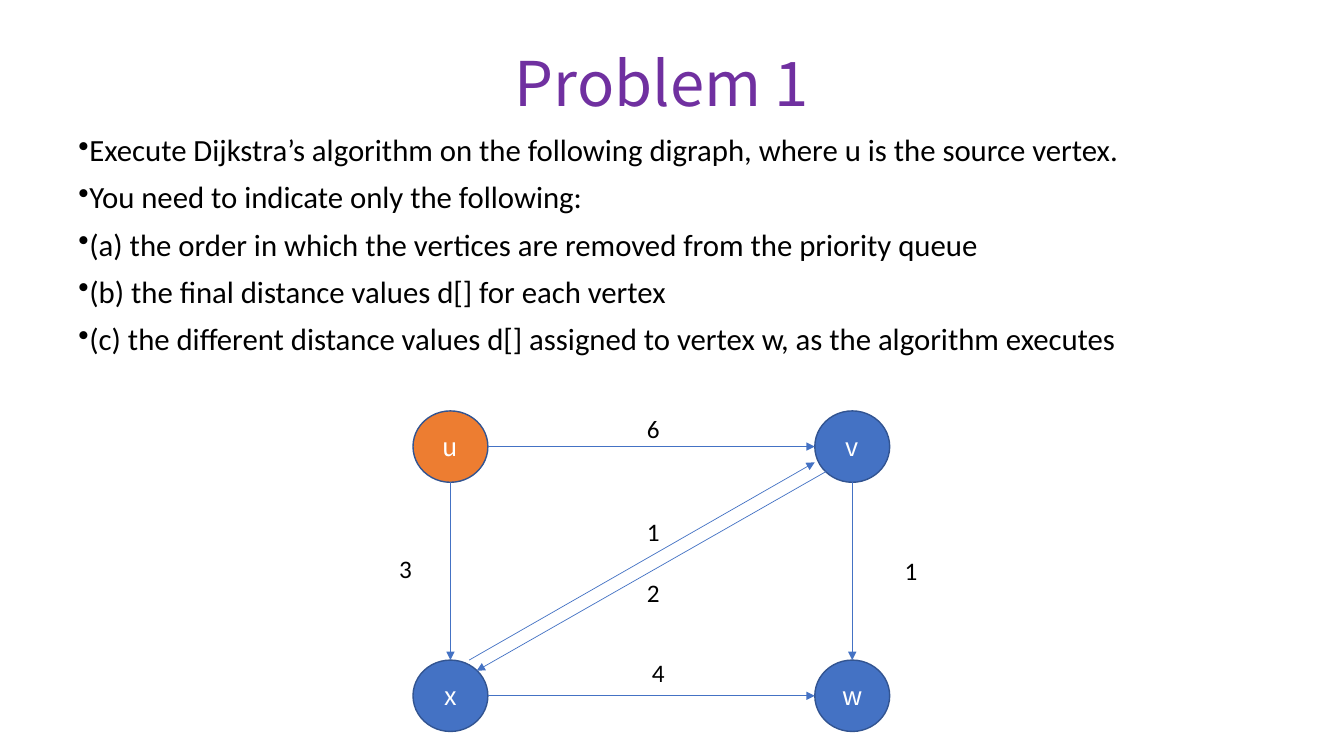
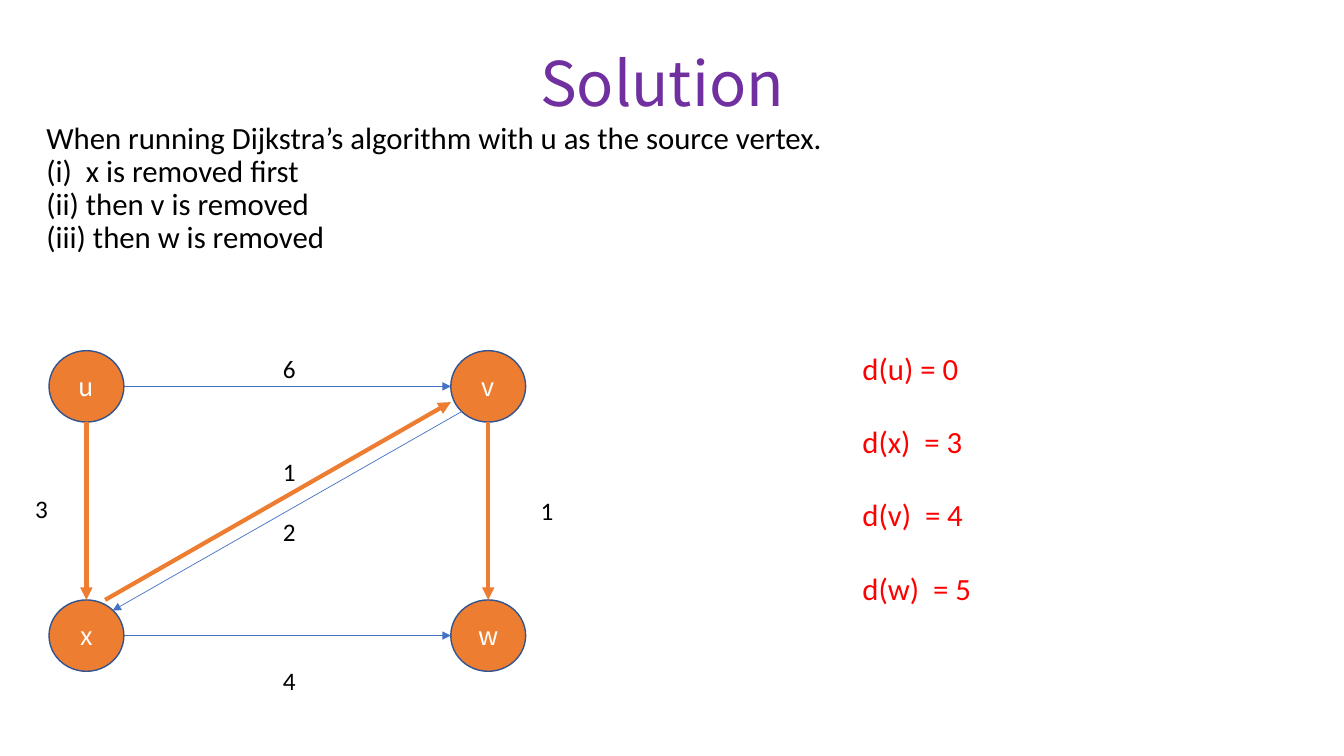
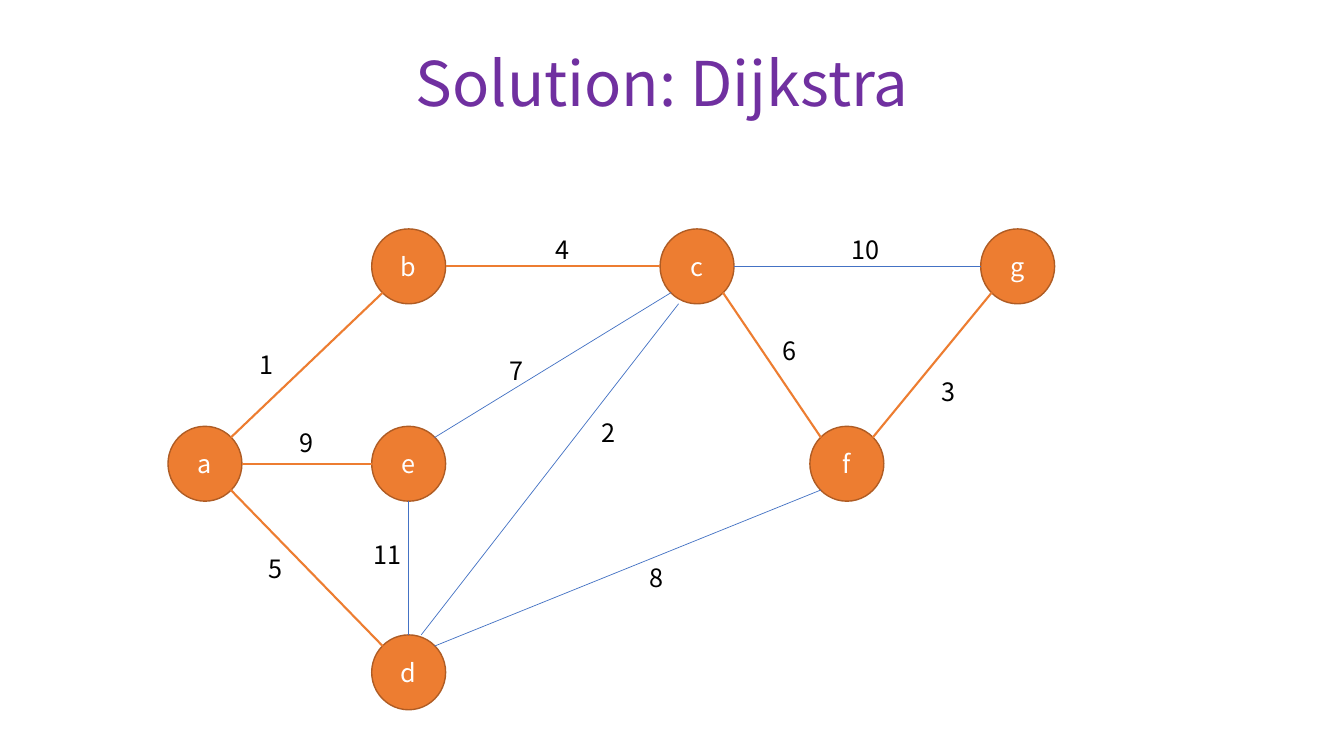
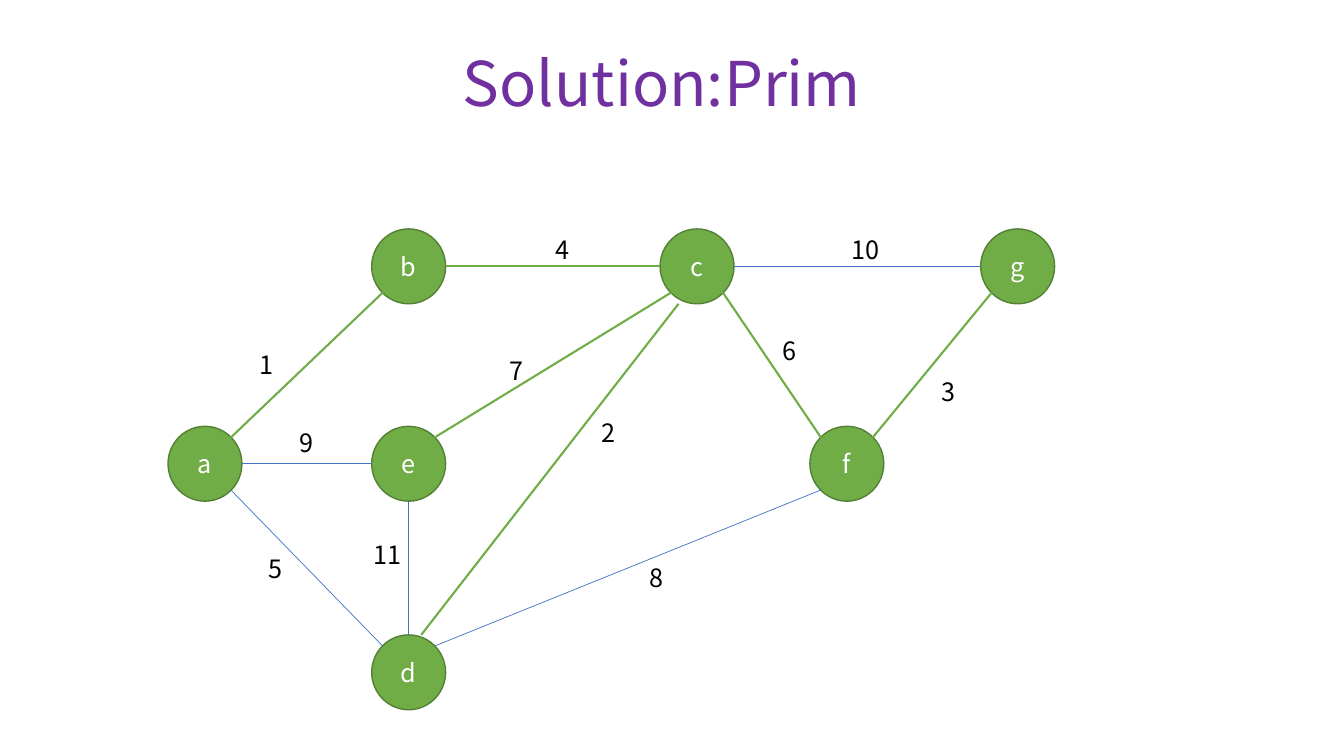
"""Build four slides on shortest paths and spanning trees."""
from dataclasses import dataclass, replace

import lxml.etree
import pptx
import pptx.dml.color
import pptx.enum.shapes
import pptx.enum.text
import pptx.oxml.ns
import pptx.presentation
import pptx.shapes.autoshape
import pptx.slide
import pptx.text.text
import pptx.util

Pt = pptx.util.Pt
RGBColor = pptx.dml.color.RGBColor
Align = pptx.enum.text.PP_ALIGN
qualify = pptx.oxml.ns.qn

PURPLE = RGBColor(0x70, 0x30, 0xA0)
BLACK = RGBColor(0, 0, 0)
WHITE = RGBColor(0xFF, 0xFF, 0xFF)
RED = RGBColor(0xFF, 0, 0)
BLUE = RGBColor(0x44, 0x72, 0xC4)
DARK_BLUE = RGBColor(0x32, 0x54, 0x91)
ORANGE = RGBColor(0xED, 0x7D, 0x31)
DARK_ORANGE = RGBColor(0xAF, 0x5C, 0x24)
GREEN = RGBColor(0x70, 0xAD, 0x47)
DARK_GREEN = RGBColor(0x53, 0x80, 0x35)

BODY_FONT = "Calibri"
HEAD_FONT = "Noto Sans CJK SC"
THIN_LINE = 0.5
LABEL_HEIGHT = 28.8

Point = tuple[float, float]
Area = tuple[float, float, float, float]

TOP, BOTTOM, LEFT, RIGHT = (0.5, 0), (0.5, 1), (0, 0.5), (1, 0.5)
TOP_LEFT, TOP_RIGHT = (0.15, 0.15), (0.85, 0.15)
BOTTOM_LEFT, BOTTOM_RIGHT = (0.15, 0.85), (0.85, 0.85)


@dataclass(frozen=True)
class TextStyle:
    """Font, size, colour and spacing of a text box."""

    font: str
    size: float
    color: RGBColor
    align: Align = Align.LEFT
    line_spacing: float = 1
    space_before: float = 0


@dataclass(frozen=True)
class Edge:
    """Line between two nodes, anchored at fractions of their boxes."""

    ends: str
    start: Point
    finish: Point


@dataclass(frozen=True)
class Weight:
    """Number beside an edge."""

    text: str
    left: float
    top: float


@dataclass(frozen=True)
class Graph:
    """Nodes, edges and weights, measured from the graph's own origin."""

    nodes: dict[str, Point]
    node_size: Point
    edges: tuple[Edge, ...]
    weights: tuple[Weight, ...]
    font: str
    directed: bool


@dataclass(frozen=True)
class GraphStyle:
    """Colours of a graph and the nodes and edges that stand out."""

    marked_color: RGBColor
    outline: RGBColor
    marked_nodes: str
    marked_edges: tuple[str, ...] = ()
    marked_width: float = 1.5


TITLE_STYLE = TextStyle(HEAD_FONT, 44, PURPLE, Align.CENTER, 0.9)
BODY_STYLE = TextStyle(BODY_FONT, 22, BLACK, line_spacing=0.9, space_before=10)
DISTANCE_STYLE = TextStyle(BODY_FONT, 22, RED, space_before=25.8)
NODE_STYLE = TextStyle(HEAD_FONT, 18, WHITE, Align.CENTER)

DIGRAPH = Graph(
    nodes={"u": (0, 0), "v": (287, 0), "x": (0, 178), "w": (287, 178)},
    node_size=(53.5, 51),
    edges=(
        Edge("uv", RIGHT, LEFT),
        Edge("xv", (0.75, 0), (0, 0.72)),
        Edge("vx", BOTTOM_LEFT, TOP_RIGHT),
        Edge("vw", BOTTOM, TOP),
        Edge("xw", RIGHT, LEFT),
        Edge("ux", BOTTOM, TOP),
    ),
    weights=(
        Weight("6", 160, -1.5),
        Weight("1", 160, 72),
        Weight("2", 160, 115),
        Weight("3", -17, 98),
        Weight("1", 344, 99.5),
    ),
    font=BODY_FONT,
    directed=True,
)

ROWS = (163.5, 304.5, 453.5)
NETWORK = Graph(
    nodes={
        "b": (265.5, ROWS[0]),
        "c": (471.5, ROWS[0]),
        "g": (700.5, ROWS[0]),
        "f": (578.5, ROWS[1]),
        "e": (265.5, ROWS[1]),
        "a": (120, ROWS[1]),
        "d": (265.5, ROWS[2]),
    },
    node_size=(52.8, 53.5),
    edges=(
        Edge("ba", BOTTOM_LEFT, TOP_RIGHT),
        Edge("ae", RIGHT, LEFT),
        Edge("bc", RIGHT, LEFT),
        Edge("cg", RIGHT, LEFT),
        Edge("gf", BOTTOM_LEFT, TOP_RIGHT),
        Edge("cf", BOTTOM_RIGHT, TOP_LEFT),
        Edge("fd", BOTTOM_LEFT, TOP_RIGHT),
        Edge("cd", (0.25, 1), (0.67, 0)),
        Edge("ce", BOTTOM_LEFT, TOP_RIGHT),
        Edge("ad", BOTTOM_RIGHT, TOP_LEFT),
        Edge("ed", BOTTOM, TOP),
    ),
    weights=(
        Weight("4", 389.5, 164),
        Weight("10", 601, 163.5),
        Weight("6", 551.5, 236),
        Weight("3", 665.5, 265),
        Weight("2", 422.5, 294.5),
        Weight("8", 457, 398),
        Weight("11", 260, 381.5),
        Weight("7", 357, 250.5),
        Weight("1", 178.5, 246),
        Weight("9", 206.5, 301.5),
        Weight("5", 185, 391.5),
    ),
    font=HEAD_FONT,
    directed=False,
)


def fill_text(
    frame: pptx.text.text.TextFrame, lines: list[str], style: TextStyle
) -> None:
    """Write one paragraph per line in the given style."""
    frame.word_wrap = True
    frame.text = "\n".join(lines)
    for para in frame.paragraphs:
        para.alignment = style.align
        para.line_spacing = style.line_spacing
        para.space_before = Pt(style.space_before)
        for span in para.runs:
            span.font.name = style.font
            span.font.size = Pt(style.size)
            span.font.color.rgb = style.color


def add_text(
    page: pptx.slide.Slide, area: Area, lines: list[str], style: TextStyle
) -> pptx.shapes.autoshape.Shape:
    """Add a text box."""
    box = page.shapes.add_textbox(*map(Pt, area))
    fill_text(box.text_frame, lines, style)
    return box


def add_bullets(box: pptx.shapes.autoshape.Shape) -> None:
    """Give every paragraph of a box a round bullet."""
    for para in box.text_frame.paragraphs:
        properties = para._p.get_or_add_pPr()
        properties.set("marL", "0")
        properties.set("indent", str(Pt(-18)))
        bullet = lxml.etree.SubElement(properties, qualify("a:buChar"))
        bullet.set("char", "•")


def add_page(deck: pptx.presentation.Presentation, title: str) -> pptx.slide.Slide:
    """Add a blank slide with the shared title."""
    page = deck.slides.add_slide(deck.slide_layouts[6])
    box = add_text(page, (59, 9.5, 828, 104.5), [title], TITLE_STYLE)
    box.text_frame.vertical_anchor = pptx.enum.text.MSO_ANCHOR.MIDDLE
    return page


def add_node(
    page: pptx.slide.Slide, area: Area, name: str, fill: RGBColor, outline: RGBColor
) -> None:
    """Add a named round node."""
    node = page.shapes.add_shape(
        pptx.enum.shapes.MSO_SHAPE.OVAL, *map(Pt, area)
    )
    node.shadow.inherit = False
    node.fill.solid()
    node.fill.fore_color.rgb = fill
    node.line.color.rgb = outline
    node.line.width = Pt(1)
    fill_text(node.text_frame, [name], NODE_STYLE)
    node.text_frame.vertical_anchor = pptx.enum.text.MSO_ANCHOR.MIDDLE


def add_line(
    page: pptx.slide.Slide,
    start: Point,
    finish: Point,
    color: RGBColor,
    width: float,
    arrow: bool,
) -> None:
    """Add a straight line, with an arrowhead at its end if wanted."""
    line = page.shapes.add_connector(
        pptx.enum.shapes.MSO_CONNECTOR.STRAIGHT, *map(Pt, start + finish)
    )
    line.line.color.rgb = color
    line.line.width = Pt(width)
    if arrow:
        head = lxml.etree.SubElement(line.line._get_or_add_ln(), qualify("a:tailEnd"))
        head.set("type", "triangle")
    lxml.etree.SubElement(line._element.spPr, qualify("a:effectLst"))


def add_graph(
    page: pptx.slide.Slide, graph: Graph, style: GraphStyle, origin: Point = (0, 0)
) -> None:
    """Draw the nodes, edges and weights of a graph."""
    left, top = origin
    width, height = graph.node_size

    def anchor(name: str, fraction: Point) -> Point:
        """Find a point of a node on the slide."""
        x, y = graph.nodes[name]
        return left + x + fraction[0] * width, top + y + fraction[1] * height

    for name in graph.nodes:
        fill = style.marked_color if name in style.marked_nodes else BLUE
        add_node(page, anchor(name, (0, 0)) + graph.node_size, name, fill, style.outline)
    for edge in graph.edges:
        marked = edge.ends in style.marked_edges
        add_line(
            page,
            anchor(edge.ends[0], edge.start),
            anchor(edge.ends[1], edge.finish),
            style.marked_color if marked else BLUE,
            style.marked_width if marked else THIN_LINE,
            graph.directed,
        )
    label_style = TextStyle(graph.font, 18, BLACK)
    for weight in graph.weights:
        area = (left + weight.left, top + weight.top, 26 + 8 * len(weight.text), LABEL_HEIGHT)
        add_text(page, area, [weight.text], label_style)


def with_weight(graph: Graph, weight: Weight) -> Graph:
    """Return the graph with one more weight."""
    return replace(graph, weights=graph.weights + (weight,))


def add_problem(deck: pptx.presentation.Presentation) -> None:
    """Add the slide that sets the problem."""
    page = add_page(deck, "Problem 1")
    tasks = [
        "Execute Dijkstra’s algorithm on the following digraph, where u is the source vertex.",
        "You need to indicate only the following:",
        "(a) the order in which the vertices are removed from the priority queue",
        "(b) the final distance values d[] for each vertex",
        "(c) the different distance values d[] assigned to vertex w, as the algorithm executes",
    ]
    add_bullets(add_text(page, (49, 93, 828, 168.5), tasks, BODY_STYLE))
    graph = with_weight(DIGRAPH, Weight("4", 163.5, 172.5))
    add_graph(page, graph, GraphStyle(ORANGE, DARK_BLUE, "u"), (295, 293.5))


def add_solution(deck: pptx.presentation.Presentation) -> None:
    """Add the slide with the removal order and the distances."""
    page = add_page(deck, "Solution")
    steps = [
        "When running Dijkstra’s algorithm with u as the source vertex.",
        "(i)  x is removed first",
        "(ii) then v is removed",
        "(iii) then w is removed",
    ]
    add_text(page, (26, 84, 579, 103.5), steps, replace(BODY_STYLE, space_before=0))
    graph = with_weight(DIGRAPH, Weight("4", 160, 221))
    style = GraphStyle(ORANGE, DARK_BLUE, "uvxw", ("xv", "vw", "ux"), 3)
    add_graph(page, graph, style, (35, 250.5))
    distances = ["d(u) = 0", "d(x)  = 3", "d(v)  = 4", "d(w)  = 5"]
    add_text(page, (609, 246.5, 150, 220.5), distances, DISTANCE_STYLE)


def add_tree(
    deck: pptx.presentation.Presentation, title: str, style: GraphStyle
) -> None:
    """Add a slide with a tree marked in the network."""
    add_graph(add_page(deck, title), NETWORK, style)


def main() -> None:
    """Build and save the deck."""
    deck = pptx.Presentation()
    deck.slide_width, deck.slide_height = Pt(960), Pt(540)
    add_problem(deck)
    add_solution(deck)
    shortest_paths = ("ba", "ae", "bc", "gf", "cf", "ad")
    spanning_tree = ("ba", "bc", "gf", "cf", "cd", "ce")
    every_node = "abcdefg"
    add_tree(
        deck,
        "Solution: Dijkstra",
        GraphStyle(ORANGE, DARK_ORANGE, every_node, shortest_paths),
    )
    add_tree(
        deck,
        "Solution:Prim",
        GraphStyle(GREEN, DARK_GREEN, every_node, spanning_tree),
    )
    deck.save("out.pptx")


if __name__ == "__main__":
    main()
